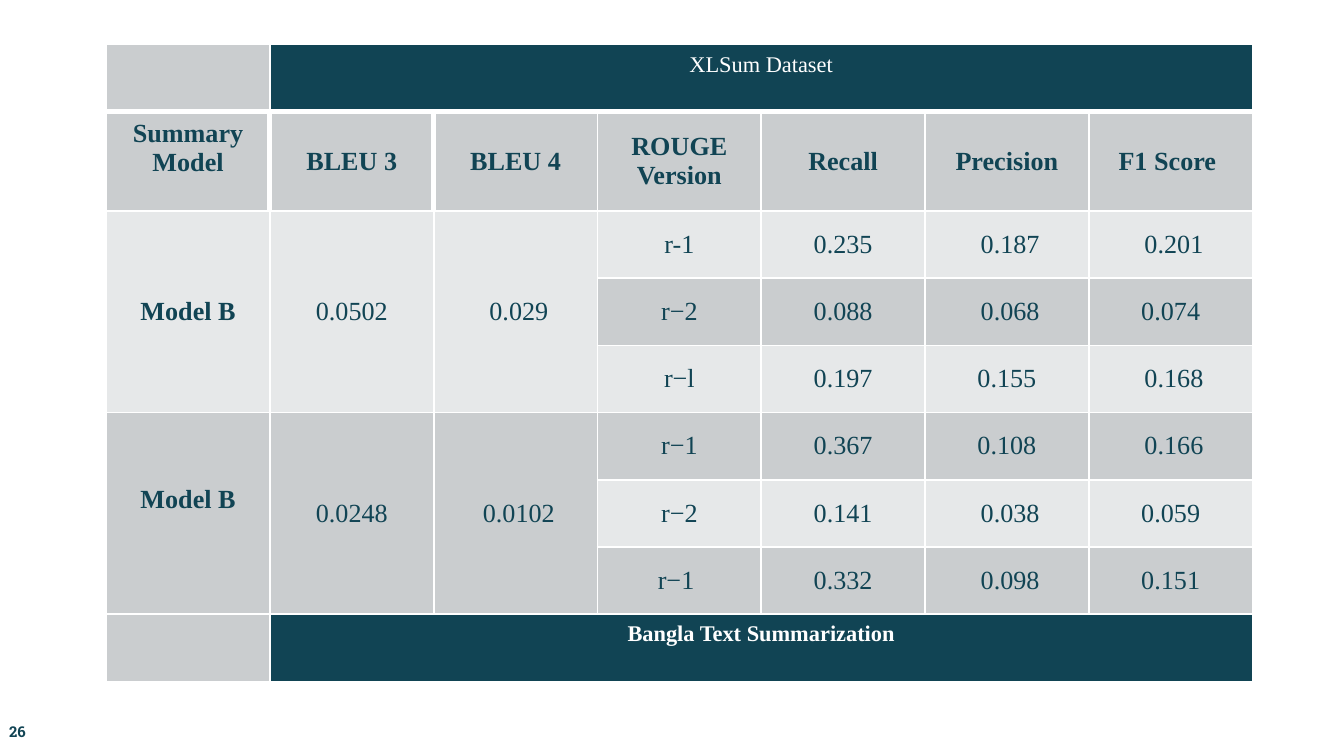
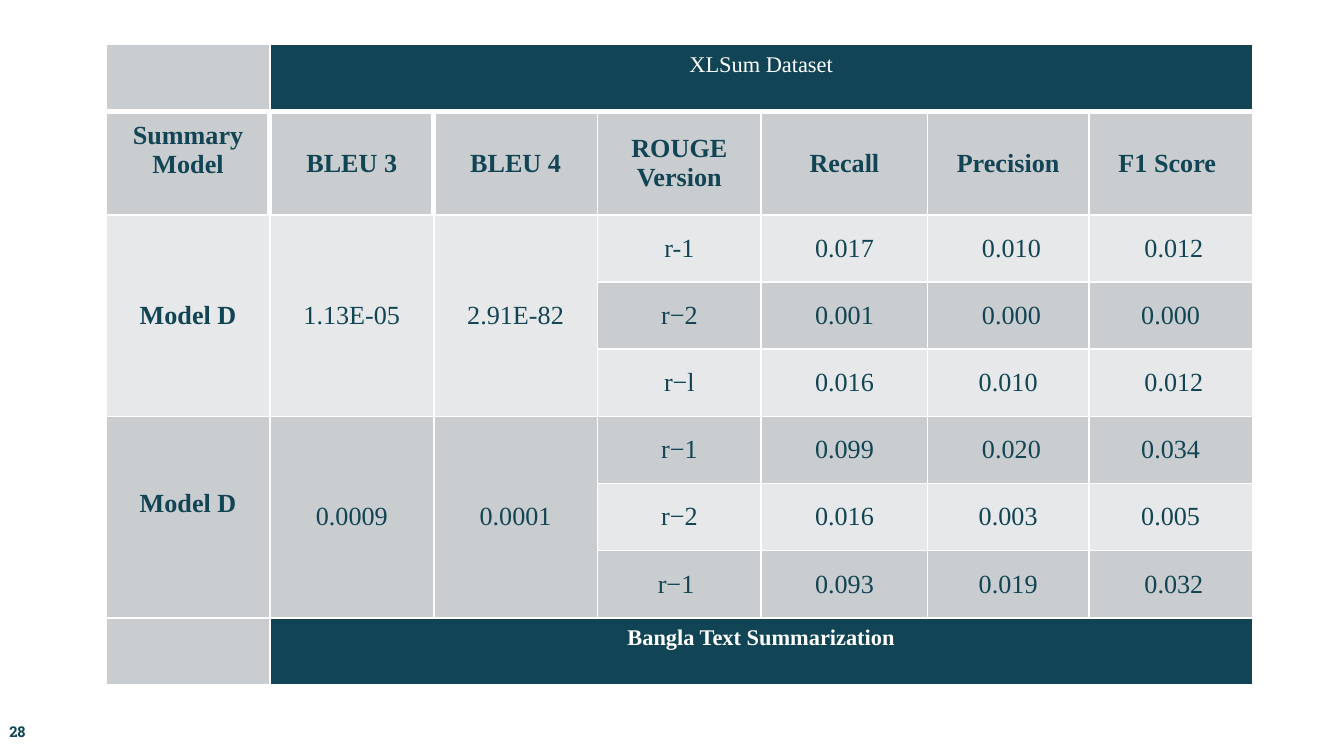
import lxml.etree
import pptx
import pptx.dml.color
import pptx.enum.text
import pptx.oxml.ns
import pptx.util

Inches = pptx.util.Inches
Pt = pptx.util.Pt

# Content
BANNER = "XLSum Dataset"
FOOTER = "Bangla Text Summarization"
HEADINGS = ["Summary Model", "BLEU 3", "BLEU 4", "ROUGE Version",
            "Recall", "Precision", "F1 Score "]
VERSIONS = ["r-1", "r−2", "r−l", "r−1", "r−2", "r−1 "]
PAGES = [
    {
        "number": "26",
        "model": "Model B",
        "widths": [1.22] * 7,
        "bleu": [("0.0502", " 0.029"), ("0.0248", " 0.0102")],
        "rouge": [
            ("0.235", " 0.187", " 0.201"),
            ("0.088", " 0.068", "0.074"),
            ("0.197", "0.155", " 0.168"),
            ("0.367", "0.108", " 0.166"),
            ("0.141", " 0.038", "0.059"),
            ("0.332", " 0.098", "0.151"),
        ],
    },
    {
        "number": "28",
        "model": "Model D",
        "widths": [1.22] * 4 + [1.24, 1.2, 1.22],
        "bleu": [("1.13E-05", "2.91E-82"), ("0.0009", "0.0001")],
        "rouge": [
            ("0.017", " 0.010", " 0.012"),
            ("0.001", " 0.000", "0.000"),
            ("0.016", "0.010", " 0.012"),
            ("0.099", " 0.020", "0.034"),
            ("0.016", "0.003", "0.005"),
            ("0.093", "0.019", " 0.032"),
        ],
    },
]

# Shared look
NAVY, WHITE, GREY, PALE = "114454", "FFFFFF", "CACDCF", "E6E8E9"
TABLE_FONT, NUMBER_FONT = "Times New Roman", "Roboto Slab"
TABLE_WIDTH = 8.53
ROW_HEIGHTS = [0.5, 0.74] + [0.5] * 7
LAST_ROW = len(ROW_HEIGHTS) - 1
GROUP_ROWS = (2, 5)
GROUP_SIZE = 3
RAISED_CELLS = {(0, 1), (1, 0), (5, 0), (LAST_ROW, 1)}
MIDDLE = pptx.enum.text.MSO_ANCHOR.MIDDLE


def color(value):
    return pptx.dml.color.RGBColor.from_string(value)


def add_text(frame, text, font, size, ink, bold):
    para = frame.paragraphs[0]
    para.alignment = pptx.enum.text.PP_ALIGN.CENTER
    span = para.add_run()
    span.text = text
    span.font.name = font
    span.font.size = Pt(size)
    span.font.bold = bold
    span.font.color.rgb = color(ink)


def set_borders(cell, widths):
    """Draw white borders in the order left, right, top, bottom."""
    properties = cell._tc.get_or_add_tcPr()
    for index, (side, width) in enumerate(zip("LRTB", widths)):
        line = lxml.etree.Element(pptx.oxml.ns.qn(f"a:ln{side}"), w=str(Pt(width)))
        fill = lxml.etree.SubElement(line, pptx.oxml.ns.qn("a:solidFill"))
        lxml.etree.SubElement(fill, pptx.oxml.ns.qn("a:srgbClr"), val=WHITE)
        properties.insert(index, line)


def border_widths(row, column):
    return (
        3 if row == 1 and column in (1, 2) else 1,
        3 if row == 1 and column in (0, 1) else 1,
        3 if row == 1 else 1,
        3 if row == 0 else 1,
    )


def cell_fill(row, column):
    if row in (0, LAST_ROW):
        return NAVY if column else GREY
    return PALE if row > 1 and row % 2 == 0 else GREY


def table_rows(page):
    """Arrange the page's content as a full grid of cell texts."""
    rows = [["", BANNER] + [""] * 5, HEADINGS]
    for index, (version, scores) in enumerate(zip(VERSIONS, page["rouge"])):
        group, offset = divmod(index, GROUP_SIZE)
        lead = ["", "", ""] if offset else [page["model"], *page["bleu"][group]]
        rows.append([*lead, version, *scores])
    return rows + [["", FOOTER] + [""] * 5]


def add_score_table(slide, page):
    rows, widths = table_rows(page), page["widths"]
    frame = slide.shapes.add_table(
        len(rows), len(widths), Inches(0.79), Inches(0.33),
        Inches(TABLE_WIDTH), Inches(sum(ROW_HEIGHTS)))
    table = frame.table
    table.first_row = table.horz_banding = False
    for column, width in zip(table.columns, widths):
        column.width = Inches(width * TABLE_WIDTH / sum(widths))
    for row, height in zip(table.rows, ROW_HEIGHTS):
        row.height = Inches(height)

    # Cells
    for r, texts in enumerate(rows):
        banded = r in (0, LAST_ROW)
        for c, text in enumerate(texts):
            cell = table.cell(r, c)
            cell.fill.solid()
            cell.fill.fore_color.rgb = color(cell_fill(r, c))
            set_borders(cell, border_widths(r, c))
            cell.vertical_anchor = MIDDLE
            cell.margin_left = cell.margin_right = Inches(0.1)
            cell.margin_top = Inches(0.05)
            cell.margin_bottom = Inches(0.25 if (r, c) in RAISED_CELLS else 0.05)
            if text:
                add_text(cell.text_frame, text, TABLE_FONT, 12 if banded else 14,
                         WHITE if banded else NAVY,
                         r in (1, LAST_ROW) or c == 0)

    # Merged cells
    for r in (0, LAST_ROW):
        table.cell(r, 1).merge(table.cell(r, len(widths) - 1))
    for r in GROUP_ROWS:
        for c in range(3):
            table.cell(r, c).merge(table.cell(r + GROUP_SIZE - 1, c))


def add_page_number(slide, number):
    box = slide.shapes.add_textbox(
        Inches(-0.06), Inches(5.27), Inches(0.38), Inches(0.35))
    frame = box.text_frame
    frame.word_wrap = True
    frame.vertical_anchor = MIDDLE
    frame.margin_left = frame.margin_right = Inches(0.1)
    frame.margin_top = frame.margin_bottom = Inches(0.1)
    add_text(frame, number, NUMBER_FONT, 8, NAVY, True)


def main():
    deck = pptx.Presentation()
    # Widescreen, 16:9
    deck.slide_width = Inches(10)
    deck.slide_height = Inches(10 * 9 / 16)
    blank_layout = deck.slide_layouts[6]
    for page in PAGES:
        slide = deck.slides.add_slide(blank_layout)
        add_score_table(slide, page)
        add_page_number(slide, page["number"])
    deck.save("out.pptx")


if __name__ == "__main__":
    main()
